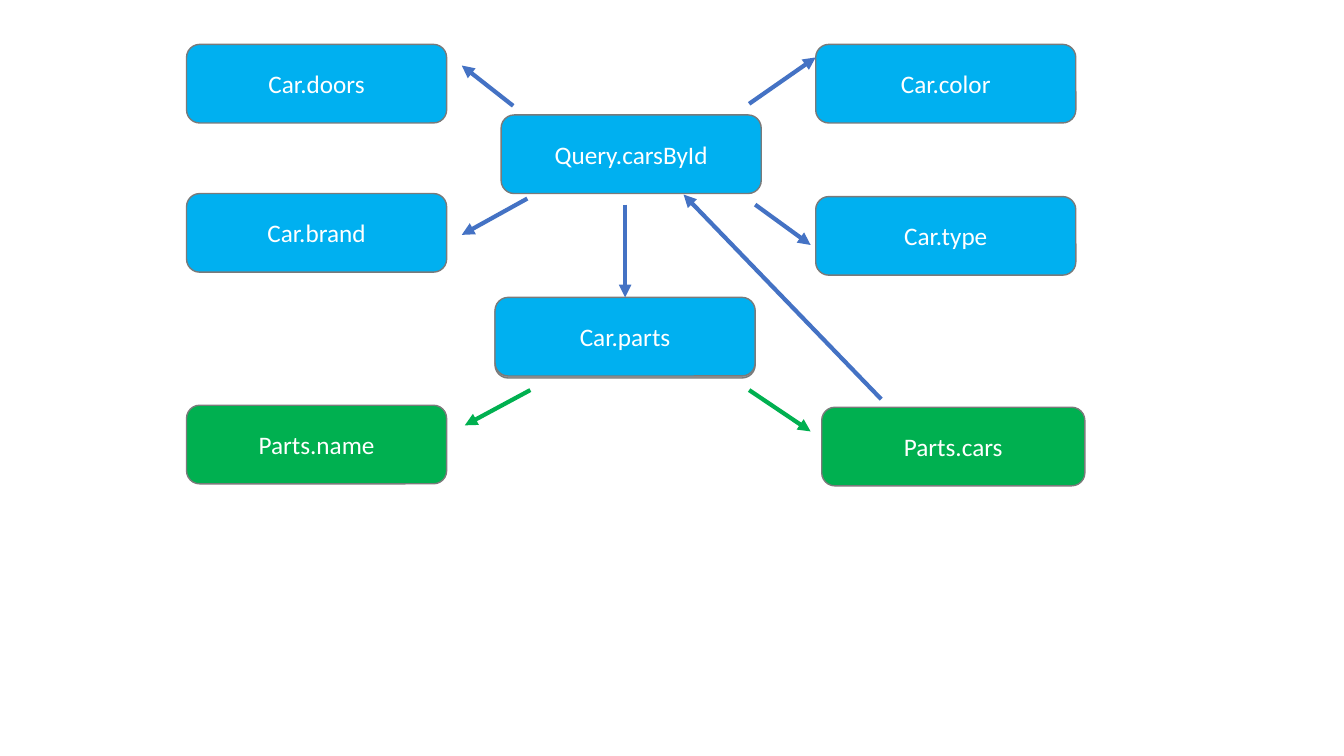
from lxml import etree
from pptx import Presentation
from pptx.dml.color import RGBColor
from pptx.enum.shapes import MSO_CONNECTOR, MSO_SHAPE
from pptx.enum.text import MSO_ANCHOR, PP_ALIGN
from pptx.oxml.ns import qn
from pptx.util import Pt

PX = 9144  # 100 px to the inch
ROUNDED = MSO_SHAPE.ROUNDED_RECTANGLE
STRAIGHT = MSO_CONNECTOR.STRAIGHT
MIDDLE = MSO_ANCHOR.MIDDLE
CENTER = PP_ALIGN.CENTER
TOP_SIDE = 0

COLORS = {
    "car": "00B0F0",
    "parts": "00B050",
    "backing": "A5A5A5",
    "outline": "7A7A7A",
    "arrow": "4472C4",
    "text": "FFFFFF",
}
FONT = "Calibri"
BOX_WIDTH, BOX_HEIGHT = 258, 78
LEFT_COLUMN, RIGHT_COLUMN = 185, 809

# label, left, top, width, fill
FIELDS = [
    ("Car.color", RIGHT_COLUMN, 44, BOX_WIDTH, "car"),
    ("Parts.cars", 815, 404, 261, "parts"),
    ("Parts.name", LEFT_COLUMN, 402, BOX_WIDTH, "parts"),
    ("Query.carsById", 497, 114, BOX_WIDTH, "car"),
    ("Car.type", RIGHT_COLUMN, 195, BOX_WIDTH, "car"),
    ("Car.brand", LEFT_COLUMN, 192, BOX_WIDTH, "car"),
    ("Car.doors", LEFT_COLUMN, 44, BOX_WIDTH, "car"),
    ("Car.parts", 491, 295, BOX_WIDTH, "car"),
]

# start, end, color
ARROWS = [
    ((526, 387), (461, 422), "parts"),
    ((743, 387), (804, 428), "parts"),
    ((874, 396), (678, 193), "arrow"),
    ((509, 105), (458, 65), "arrow"),
    ((523, 197), (458, 233), "arrow"),
    ((743, 103), (809, 57), "arrow"),
    ((749, 203), (804, 243), "arrow"),
]


def px(length):
    return length * PX


def color(name):
    return RGBColor.from_string(COLORS[name])


def add_box(page, left, top, width, fill):
    box = page.shapes.add_shape(ROUNDED, px(left), px(top), px(width), px(BOX_HEIGHT))
    box.shadow.inherit = False
    box.fill.solid()
    box.fill.fore_color.rgb = color(fill)
    box.line.color.rgb = color("outline")
    box.line.width = Pt(1)
    return box


def add_label(box, text):
    frame = box.text_frame
    frame.word_wrap = True
    frame.vertical_anchor = MIDDLE
    para = frame.paragraphs[0]
    para.alignment = CENTER
    span = para.add_run()
    span.text = text
    span.font.name = FONT
    span.font.size = Pt(18)
    span.font.color.rgb = color("text")


def add_arrow(page, start, end, tint):
    arrow = page.shapes.add_connector(STRAIGHT, *map(px, start + end))
    arrow.line.color.rgb = color(tint)
    arrow.line.width = Pt(3)
    etree.SubElement(arrow.line._get_or_add_ln(), qn("a:tailEnd"), type="triangle")
    etree.SubElement(arrow._element.spPr, qn("a:effectLst"))
    return arrow


def main():
    deck = Presentation()
    deck.slide_width, deck.slide_height = px(1333), px(750)
    page = deck.slides.add_slide(deck.slide_layouts[6])

    add_box(page, 491, 297, BOX_WIDTH, "backing")
    boxes = {}
    for label, left, top, width, fill in FIELDS:
        boxes[label] = add_box(page, left, top, width, fill)
        add_label(boxes[label], label)

    for start, end, tint in ARROWS:
        add_arrow(page, start, end, tint)
    parts_arrow = add_arrow(page, (620, 203), (620, 295), "arrow")
    parts_arrow.end_connect(boxes["Car.parts"], TOP_SIDE)

    deck.save("out.pptx")


if __name__ == "__main__":
    main()
